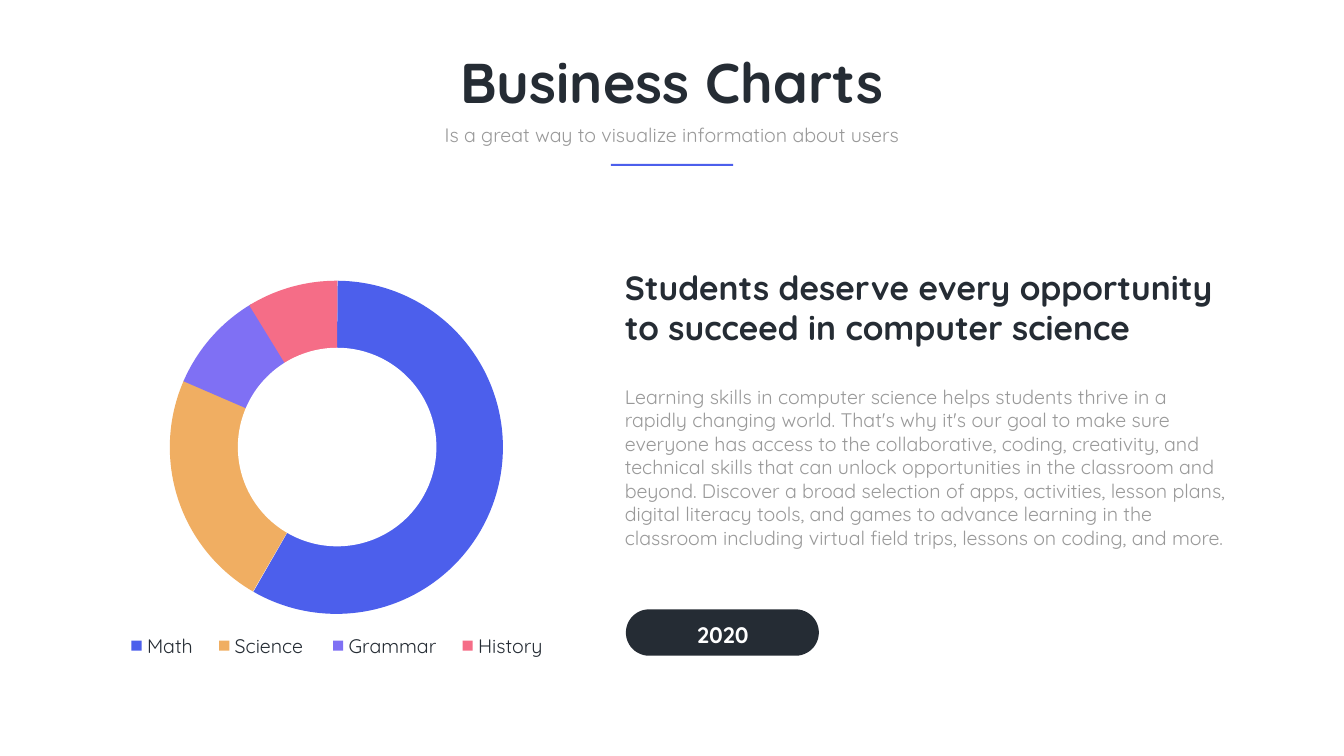
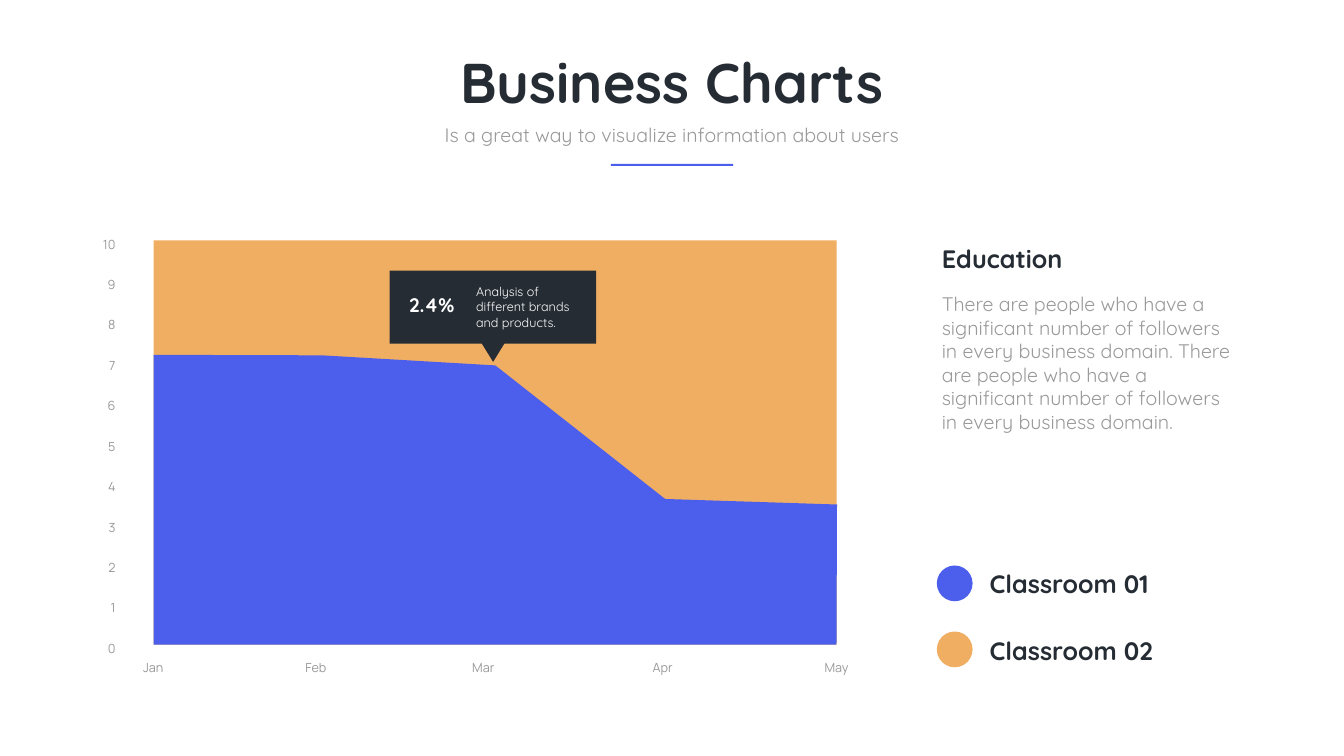
from typing import NamedTuple

from pptx import Presentation
from pptx.dml.color import RGBColor
from pptx.enum import shapes, text
from pptx.util import Inches, Pt

BLUE = RGBColor(0x4C, 0x5F, 0xEC)
ORANGE = RGBColor(0xF0, 0xAE, 0x62)
VIOLET = RGBColor(0x7F, 0x70, 0xF4)
PINK = RGBColor(0xF5, 0x6D, 0x87)
DARK = RGBColor(0x25, 0x2C, 0x34)
GREY = RGBColor(0x99, 0x99, 0x99)
WHITE = RGBColor(0xFF, 0xFF, 0xFF)

HEAD_FONT = "Quicksand"
AXIS_FONT = "Manrope"
SHAPE = shapes.MSO_SHAPE
ALIGN = text.PP_ALIGN


class Box(NamedTuple):
    x: float
    y: float
    w: float
    h: float


class Subject(NamedTuple):
    name: str
    color: RGBColor
    start: float  # degrees, clockwise from three o'clock
    end: float
    legend_x: float
    label_w: float


class Month(NamedTuple):
    name: str
    label_x: float
    x: float
    y: float


class Classroom(NamedTuple):
    name: str
    color: RGBColor
    dot_y: float
    label_y: float


SUBJECTS = [
    Subject("Math", BLUE, 270.4, 119.86, 2.61, 1.6),
    Subject("Science", ORANGE, 120.06, 203.61, 4.35, 1.9),
    Subject("Grammar", VIOLET, 203.36, 239.33, 6.61, 2.17),
    Subject("History", PINK, 238.48, 270.38, 9.18, 2.17),
]
MONTHS = [
    Month("Jan", 2.48, 3.05, 7.04),
    Month("Feb", 5.71, 6.39, 7.05),
    Month("Mar", 9.03, 9.83, 7.25),
    Month("Apr", 12.59, 13.2, 9.9),
    Month("May", 16.04, 16.61, 10.01),
]
CLASSROOMS = [
    Classroom("Classroom 01", BLUE, 11.22, 11.22),
    Classroom("Classroom 02", ORANGE, 12.53, 12.56),
]


def paint(sp, color: RGBColor) -> None:
    sp.shadow.inherit = False
    sp.fill.solid()
    sp.fill.fore_color.rgb = color
    sp.line.fill.background()


def add_shape(s, kind, box: Box, color: RGBColor):
    sp = s.shapes.add_shape(kind, *map(Inches, box))
    paint(sp, color)
    return sp


def add_text(s, words: str, box: Box, *, size: float = 28, color: RGBColor = GREY,
             bold: bool = False, font: str = HEAD_FONT, align=ALIGN.LEFT,
             line_pt: float | None = None) -> None:
    tf = s.shapes.add_textbox(*map(Inches, box)).text_frame
    tf.word_wrap = True
    tf.auto_size = text.MSO_AUTO_SIZE.SHAPE_TO_FIT_TEXT
    p = tf.paragraphs[0]
    p.alignment = align
    if line_pt:
        p.line_spacing = Pt(line_pt)
    r = p.add_run()
    r.text = words
    r.font.name, r.font.size, r.font.bold = font, Pt(size), bold
    r.font.color.rgb = color


def add_axis_label(s, words: str, box: Box, align) -> None:
    add_text(s, words, box, size=18, font=AXIS_FONT, align=align, line_pt=35.6)


def add_header(s) -> None:
    add_text(s, "Business Charts", Box(6.88, 0.9, 12.91, 1.45),
             size=80, color=DARK, bold=True, align=ALIGN.CENTER)
    add_text(s, "Is a great way to visualize information about users",
             Box(8.55, 2.38, 9.56, 0.57), align=ALIGN.CENTER)
    add_shape(s, SHAPE.RECTANGLE, Box(12.12, 3.25, 2.43, 0.04), BLUE)


def add_donut(s) -> None:
    for subject in SUBJECTS:
        sp = add_shape(s, SHAPE.PIE, Box(3.37, 5.57, 6.61, 6.61), subject.color)
        # adjustments count 100000ths, angles 60000ths of a degree
        sp.adjustments[0] = subject.start * 0.6
        sp.adjustments[1] = subject.end * 0.6
    add_shape(s, SHAPE.OVAL, Box(4.72, 6.9, 3.94, 3.94), WHITE)

    # Legend
    for subject in SUBJECTS:
        x = subject.legend_x
        add_shape(s, SHAPE.RECTANGLE, Box(x, 12.71, 0.2, 0.2), subject.color)
        add_text(s, subject.name, Box(x + 0.21, 12.53, subject.label_w, 0.57),
                 color=DARK)


def add_area_chart(s) -> None:
    left, top, width, height = plot = Box(3.05, 4.77, 13.55, 8.02)
    add_shape(s, SHAPE.RECTANGLE, plot, ORANGE)

    # Lower area
    outline = [(m.x, m.y) for m in MONTHS]
    outline += [(left + width, top + height), (left, top + height)]
    points = [(Inches(x), Inches(y)) for x, y in outline]
    builder = s.shapes.build_freeform(*points[0])
    builder.add_line_segments(points[1:], close=True)
    paint(builder.convert_to_shape(), BLUE)

    # Axis labels
    for value in range(11):
        add_axis_label(s, str(value), Box(1.27, 12.47 - 0.802 * value, 1.12, 0.46),
                       ALIGN.RIGHT)
    for month in MONTHS:
        add_axis_label(s, month.name, Box(month.label_x, 12.84, 1.12, 0.56),
                       ALIGN.CENTER)


def add_callout(s) -> None:
    add_shape(s, SHAPE.RECTANGLE, Box(7.73, 5.37, 4.1, 1.45), DARK)
    pointer = add_shape(s, SHAPE.ISOSCELES_TRIANGLE, Box(9.44, 6.62, 0.69, 0.56), DARK)
    pointer.rotation = 180
    add_text(s, "2.4%", Box(8.02, 5.77, 1.27, 0.57), color=WHITE, bold=True)
    add_text(s, "Analysis of different brands and products.",
             Box(9.35, 5.59, 2.14, 1.01), size=18, color=WHITE)


def build_subjects_slide(s) -> None:
    add_header(s)
    add_donut(s)
    add_text(s, "Students deserve every opportunity to succeed in computer science",
             Box(12.3, 5.25, 12.19, 1.72), size=48, color=DARK, bold=True)
    add_text(s, "Learning skills in computer science helps students thrive in a "
             "rapidly changing world. That's why it's our goal to make sure everyone "
             "has access to the collaborative, coding, creativity, and technical "
             "skills that can unlock opportunities in the classroom and beyond. "
             "Discover a broad selection of apps, activities, lesson plans, digital "
             "literacy tools, and games to advance learning in the classroom "
             "including virtual field trips, lessons on coding, and more.",
             Box(12.3, 7.58, 12.19, 3.87))

    # Year button
    button = add_shape(s, SHAPE.ROUNDED_RECTANGLE, Box(12.42, 12.09, 3.83, 0.92), DARK)
    button.adjustments[0] = 0.5
    add_text(s, "2020", Box(12.69, 12.27, 3.31, 0.64), size=32, color=WHITE,
             bold=True, align=ALIGN.CENTER)


def build_classrooms_slide(s) -> None:
    add_header(s)
    add_area_chart(s)
    add_callout(s)
    add_text(s, "Education", Box(18.59, 4.77, 6, 0.71), size=36, color=DARK, bold=True)
    add_text(s, "There are people who have a significant number of followers in every "
             "business domain. There are people who have a significant number of "
             "followers in every business domain.", Box(18.59, 5.75, 6, 2.93))

    # Legend
    for room in CLASSROOMS:
        add_shape(s, SHAPE.OVAL, Box(18.59, room.dot_y, 0.71, 0.71), room.color)
        add_text(s, room.name, Box(19.54, room.label_y, 4.24, 0.71),
                 size=36, color=DARK, bold=True)


def main() -> None:
    prs = Presentation()
    prs.slide_width, prs.slide_height = Inches(26.67), Inches(15)
    blank = prs.slide_layouts[6]
    for build in (build_subjects_slide, build_classrooms_slide):
        build(prs.slides.add_slide(blank))
    prs.save("out.pptx")


if __name__ == "__main__":
    main()
